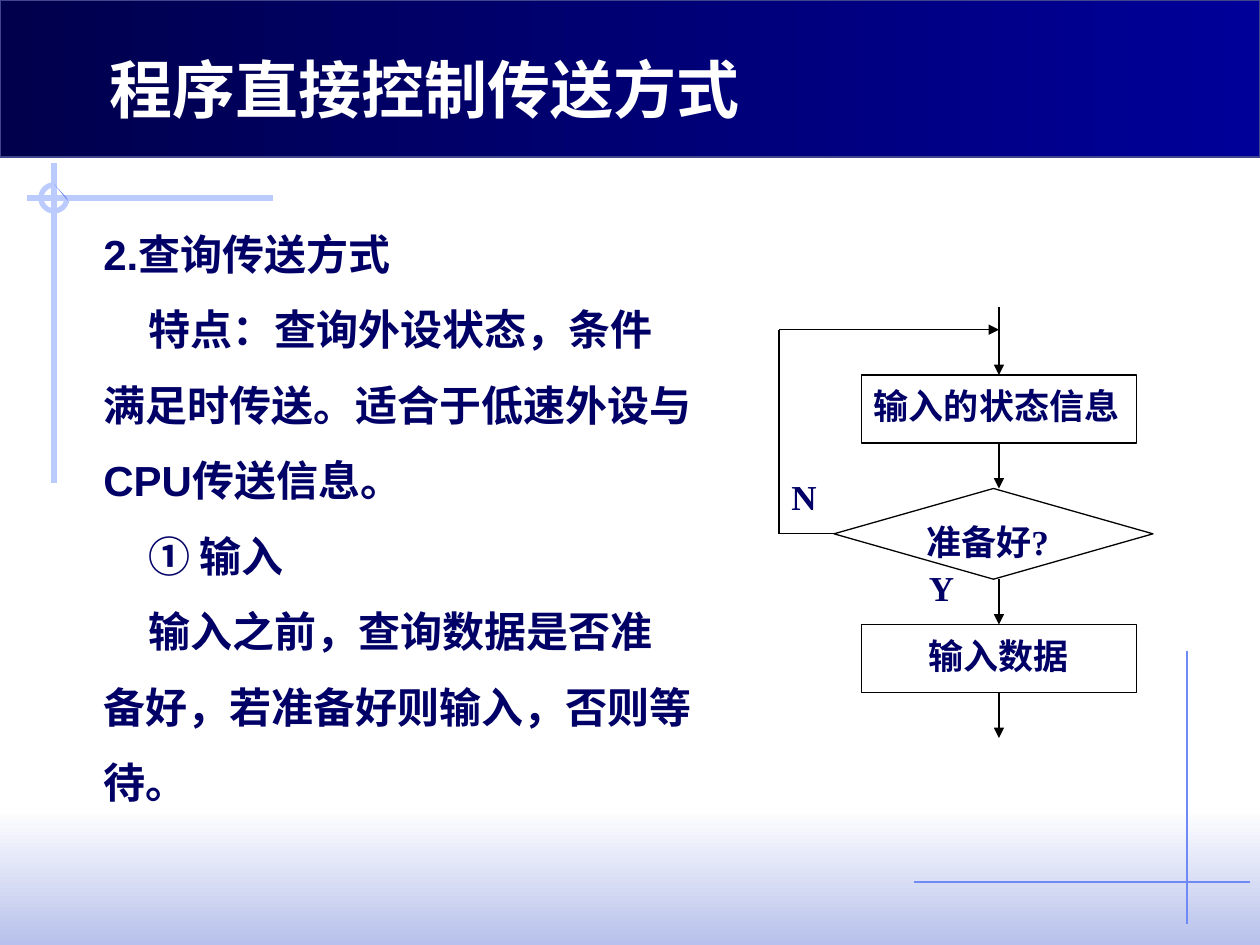
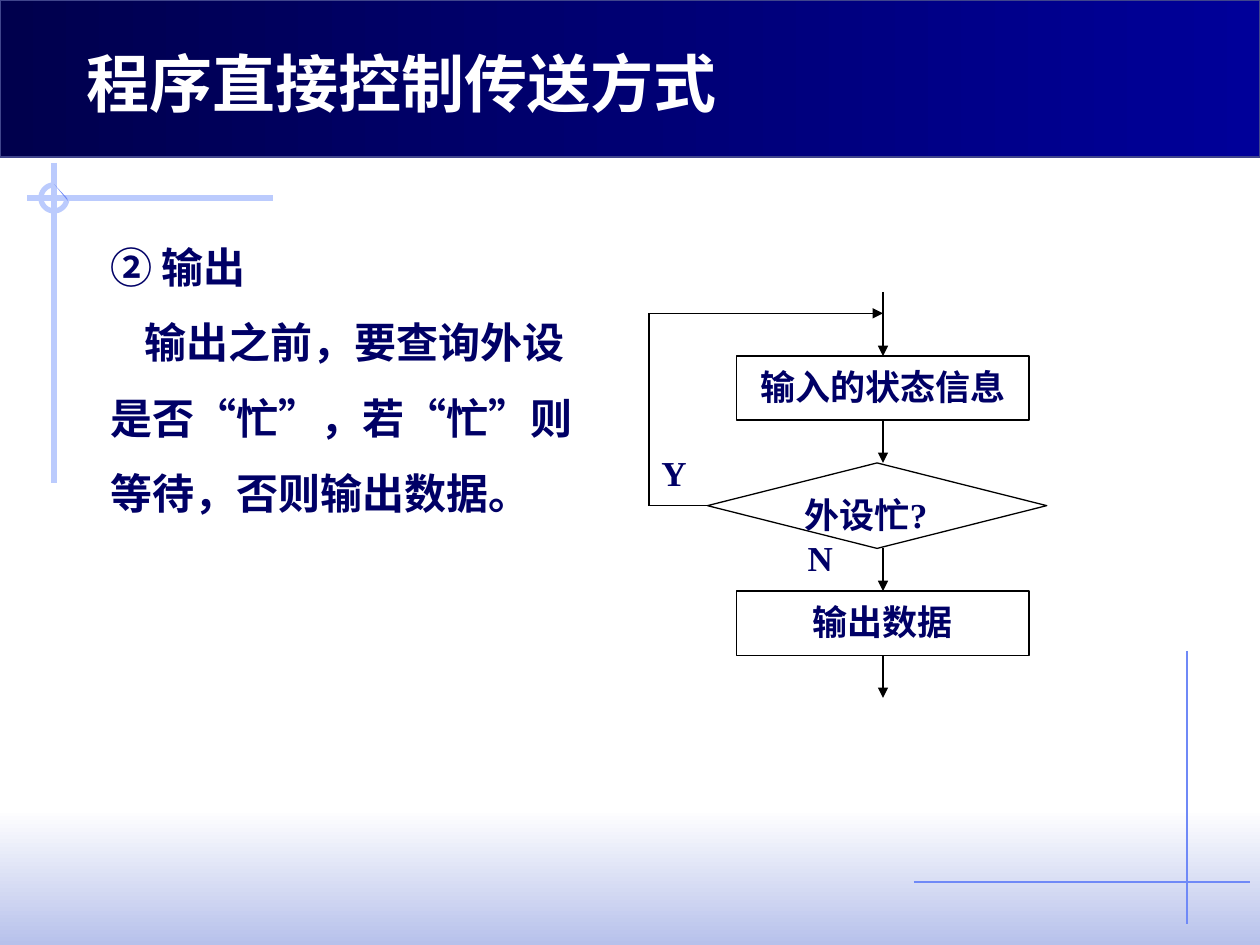
from math import cos, radians, sin

from pptx import Presentation
from pptx.dml.color import RGBColor
from pptx.enum.shapes import MSO_CONNECTOR, MSO_SHAPE
from pptx.enum.text import MSO_ANCHOR, PP_ALIGN
from pptx.oxml.ns import qn
from pptx.util import Emu, Pt
from lxml import etree

RECTANGLE = MSO_SHAPE.RECTANGLE
DIAMOND = MSO_SHAPE.DIAMOND
STRAIGHT = MSO_CONNECTOR.STRAIGHT
TOP = MSO_ANCHOR.TOP
LEFT = PP_ALIGN.LEFT
CENTER = PP_ALIGN.CENTER

SCALE = 914400 / 126
WIDTH, HEIGHT = 1260, 945
NAVY = "000066"
WHITE = "FFFFFF"
BLACK = "000000"
PALE_BLUE = "BBCBFD"
MID_BLUE = "6F89F7"
SANS = "Arial"
SERIF = "Times New Roman"
CHINESE = "Noto Sans CJK JP"
TITLE = "程序直接控制传送方式"


def px(length):
    return Emu(round(length * SCALE))


def color(code):
    return RGBColor.from_string(code)


def set_line(shape, code, width=0.75):
    if code is None:
        shape.line.fill.background()
    else:
        shape.line.color.rgb = color(code)
        shape.line.width = Pt(width)


def add_text(frame, text, size, font, code=NAVY, spacing=26, align=LEFT, indent=0):
    first = frame.paragraphs[0]
    para = frame.add_paragraph() if first.runs else first
    para.alignment = align
    para.line_spacing = Pt(spacing)
    if indent:
        para._p.get_or_add_pPr().set("indent", str(px(indent)))
    span = para.add_run()
    span.text = text
    span.font.size = Pt(size)
    span.font.bold = True
    span.font.name = font
    span.font.color.rgb = color(code)
    properties = span._r.get_or_add_rPr()
    properties.set("lang", "zh-CN")
    latin = properties.find(qn("a:latin"))
    east_asian = etree.Element(qn("a:ea"), typeface=CHINESE)
    latin.addnext(east_asian)


def add_text_box(page, left, top, width, height):
    box = page.shapes.add_textbox(px(left), px(top), px(width), px(height))
    box.text_frame.word_wrap = True
    return box.text_frame


def add_block(page, kind, left, top, width, height, line=None, fill=WHITE):
    block = page.shapes.add_shape(kind, px(left), px(top), px(width), px(height))
    block.shadow.inherit = False
    block.fill.solid()
    block.fill.fore_color.rgb = color(fill)
    set_line(block, line)
    return block


def add_gradient_band(page, top, height, codes, angle, line=None):
    band = add_block(page, RECTANGLE, 0, top, WIDTH, height, line)
    band.fill.gradient()
    band.fill.gradient_angle = angle
    for stop, code in zip(band.fill.gradient_stops, codes):
        stop.color.rgb = color(code)


def add_line(page, start, end, code=BLACK, width=0.75, arrow=False):
    line = page.shapes.add_connector(STRAIGHT, *map(px, start + end))
    set_line(line, code, width)
    if arrow:
        etree.SubElement(line.line._get_or_add_ln(), qn("a:tailEnd"), type="triangle")
    etree.SubElement(line._element.spPr, qn("a:effectLst"))


def add_outline(page, points, close, fill=None, line=None, width=3):
    builder = page.shapes.build_freeform(*map(px, points[0]))
    builder.add_line_segments([tuple(map(px, point)) for point in points[1:]], close=close)
    outline = builder.convert_to_shape()
    outline.shadow.inherit = False
    if fill:
        outline.fill.solid()
        outline.fill.fore_color.rgb = color(fill)
    else:
        outline.fill.background()
    set_line(outline, line, width)


def add_crosshair(page):
    add_line(page, (273, 198), (27, 198), PALE_BLUE, 3)
    add_line(page, (54, 163), (54, 483), PALE_BLUE, 3)
    arc = [(54 + 13 * cos(radians(angle)), 198 - 13 * sin(radians(angle)))
           for angle in range(90, 361, 10)]
    add_outline(page, arc, False, line=PALE_BLUE)
    add_outline(page, [(54, 184), (67, 198), (68, 201)], True, fill=MID_BLUE)


def add_page(deck, title_left, title_top):
    page = deck.slides.add_slide(deck.slide_layouts[6])
    add_gradient_band(page, 809, 136, (WHITE, "B7C1EB"), 270)
    add_line(page, (1187, 651), (1187, 924), MID_BLUE)
    add_crosshair(page)
    add_gradient_band(page, 0, 157, ("00004D", "000099"), 0, "40458C")
    add_line(page, (914, 882), (1250, 882), MID_BLUE)
    frame = add_text_box(page, title_left, title_top, 871, 89)
    add_text(frame, TITLE, 36, CHINESE, WHITE, spacing=46)
    return page


def add_body(page, left, top, width, height, paragraphs):
    frame = add_text_box(page, left, top, width, height)
    for text, indent in paragraphs:
        add_text(frame, text, 24, SANS, spacing=43.14, indent=indent)


def add_flowchart(page, left, top, spine, height, steps, loop_label, exit_label,
                  first_align=CENTER):
    column, row = spine / 8, height / 19

    def at(across, down):
        return left + across * column, top + down * row

    def add_step(text, kind, across, down, columns, rows, line=BLACK, align=LEFT):
        block = add_block(page, kind, *at(across, down), columns * column, rows * row, line)
        frame = block.text_frame
        frame.word_wrap = True
        frame.vertical_anchor = TOP
        add_text(frame, text, 20, SERIF, align=align)

    read, test, transfer = steps
    add_step(exit_label, RECTANGLE, 5, 11, 3, 3, WHITE)
    add_step(loop_label, RECTANGLE, 0, 7, 3, 3, WHITE)
    add_step(read, RECTANGLE, 3, 3, 10, 3, align=first_align)
    add_step(test, DIAMOND, 2, 8, 11.6, 4)
    add_step(transfer, RECTANGLE, 3, 14, 10, 3, align=CENTER)
    for start, end in ((0, 3), (6, 8), (12, 14), (17, 19)):
        add_line(page, at(8, start), at(8, end), arrow=True)
    add_line(page, at(2, 10), at(0, 10))
    add_line(page, at(0, 10), at(0, 1))
    add_line(page, at(0, 1), at(8, 1), arrow=True)


def main():
    deck = Presentation()
    deck.slide_width, deck.slide_height = px(WIDTH), px(HEIGHT)

    page = add_page(deck, 97, 39)
    add_body(page, 91, 197, 614, 627, [
        ("2.查询传送方式", 0),
        ("特点：查询外设状态，条件满足时传送。适合于低速外设与CPU传送信息。", 45),
        ("① 输入", 45),
        ("输入之前，查询数据是否准备好，若准备好则输入，否则等待。", 45),
    ])
    add_flowchart(page, 779, 307, 220, 431,
                  ("输入的状态信息", "准备好?", "输入数据"), "N", "Y", LEFT)

    page = add_page(deck, 74, 33)
    add_body(page, 98, 210, 518, 622, [
        ("② 输出", 0),
        ("输出之前，要查询外设是否“忙”，若“忙”则等待，否则输出数据。", 34),
    ])
    add_flowchart(page, 649, 292, 234, 406,
                  ("输入的状态信息", "外设忙?", "输出数据"), "Y", "N")

    deck.save("out.pptx")


if __name__ == "__main__":
    main()
